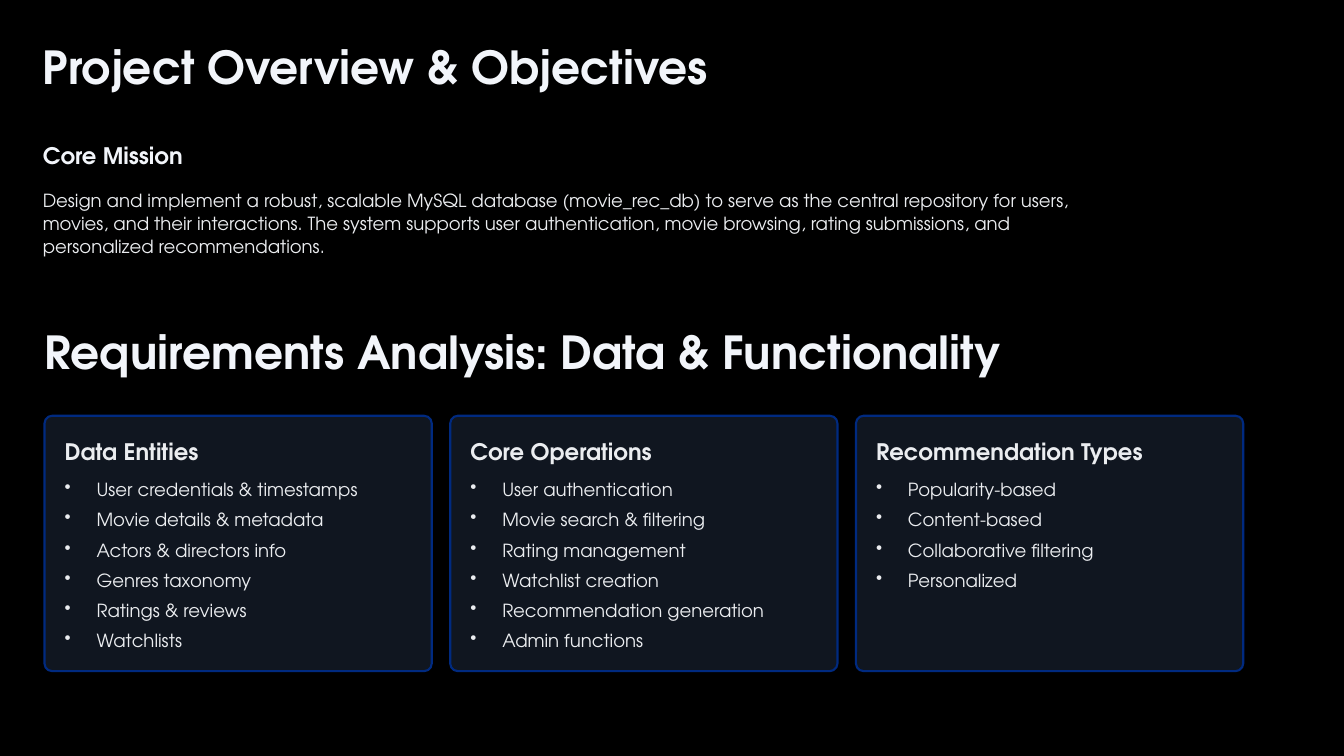
"""Build the project overview and requirements slide."""
from lxml import etree
from pptx import Presentation
from pptx.dml.color import RGBColor
from pptx.enum.shapes import MSO_SHAPE
from pptx.oxml.ns import qn
from pptx.util import Inches, Pt

ROUNDED = MSO_SHAPE.ROUNDED_RECTANGLE
FONT = "TeX Gyre Adventor"
WIDTH, HEIGHT = 16, 9
BACKGROUND, CARD_FILL, CARD_LINE = "000000", "101620", "002A80"

STYLES = {
    "title": {"size": 39, "bold": True, "color": "F2F5FA", "leading": 50.5},
    "subtitle": {"size": 19.5, "bold": True, "color": "F2F5FA", "leading": 25},
    "heading": {"size": 19.5, "bold": True, "color": "EBEDF0", "leading": 25},
    "body": {"size": 15.5, "bold": False, "color": "EBEDF0", "leading": 20},
}
MISSION = (
    "Design and implement a robust, scalable MySQL database (movie_rec_db) to serve "
    "as the central repository for users, movies, and their interactions. The system "
    "supports user authentication, movie browsing, rating submissions, and "
    "personalized recommendations."
)
INTRO = [
    ("title", "Project Overview & Objectives", (0.51, 0.41, 12.37, 0.71)),
    ("subtitle", "Core Mission", (0.51, 1.66, 12.37, 0.35)),
    ("body", MISSION, (0.51, 2.23, 12.37, 0.92)),
    ("title", "Requirements Analysis: Data & Functionality", (0.53, 3.81, 12.37, 0.71)),
]
CARDS = [
    ("Data Entities", [
        "User credentials & timestamps", "Movie details & metadata",
        "Actors & directors info", "Genres taxonomy", "Ratings & reviews", "Watchlists",
    ]),
    ("Core Operations", [
        "User authentication", "Movie search & filtering", "Rating management",
        "Watchlist creation", "Recommendation generation", "Admin functions",
    ]),
    ("Recommendation Types", [
        "Popularity-based", "Content-based", "Collaborative filtering", "Personalized",
    ]),
]
CARD_LEFT, CARD_TOP, CARD_WIDTH, CARD_HEIGHT = 0.53, 4.95, 4.61, 3.04
CARD_STEP, PADDING = 4.83, 0.24
HEADING_HEIGHT, LIST_OFFSET = 0.35, 0.73
ITEM_GAP, INDENT = 5.8, 0.38


def rgb(color):
    """Turn a hex string into a colour."""
    return RGBColor.from_string(color)


def add_bullet(para):
    """Give a paragraph a hanging bullet."""
    properties = para._p.get_or_add_pPr()
    properties.set("marL", str(Inches(INDENT)))
    properties.set("indent", str(-Inches(INDENT)))
    etree.SubElement(properties, qn("a:buChar")).set("char", "•")


def add_text(page, lines, place, style, bulleted=False):
    """Add a text box with one paragraph per line."""
    frame = page.shapes.add_textbox(*map(Inches, place)).text_frame
    settings = {"word_wrap": True, "margin_left": 0, "margin_top": 0,
                "margin_right": 0, "margin_bottom": 0}
    for name, value in settings.items():
        setattr(frame, name, value)
    look = STYLES[style]
    for index, line in enumerate(lines):
        para = frame.add_paragraph() if index else frame.paragraphs[0]
        para.line_spacing = Pt(look["leading"])
        if index:
            para.space_before = Pt(ITEM_GAP)
        if bulleted:
            add_bullet(para)
        span = para.add_run()
        span.text = line
        values = {"name": FONT, "size": Pt(look["size"]), "bold": look["bold"]}
        for name, value in values.items():
            setattr(span.font, name, value)
        span.font.color.rgb = rgb(look["color"])


def add_card(page, column, heading, items):
    """Add one requirements card in its column."""
    left = CARD_LEFT + column * CARD_STEP
    place = (left, CARD_TOP, CARD_WIDTH, CARD_HEIGHT)
    card = page.shapes.add_shape(ROUNDED, *map(Inches, place))
    card.adjustments[0] = 0.03
    card.shadow.inherit = False
    card.fill.solid()
    card.fill.fore_color.rgb = rgb(CARD_FILL)
    card.line.color.rgb = rgb(CARD_LINE)
    card.line.width = Pt(1.8)
    inner_left, inner_width = left + PADDING, CARD_WIDTH - 2 * PADDING
    heading_place = (inner_left, CARD_TOP + PADDING, inner_width, HEADING_HEIGHT)
    list_height = CARD_HEIGHT - LIST_OFFSET - PADDING
    list_place = (inner_left, CARD_TOP + LIST_OFFSET, inner_width, list_height)
    add_text(page, [heading], heading_place, "heading")
    add_text(page, items, list_place, "body", bulleted=True)


def main():
    """Build and save the deck."""
    deck = Presentation()
    deck.slide_width, deck.slide_height = Inches(WIDTH), Inches(HEIGHT)
    page = deck.slides.add_slide(deck.slide_layouts[6])
    page.background.fill.solid()
    page.background.fill.fore_color.rgb = rgb(BACKGROUND)
    for style, text, place in INTRO:
        add_text(page, [text], place, style)
    for column, (heading, items) in enumerate(CARDS):
        add_card(page, column, heading, items)
    deck.save("out.pptx")


if __name__ == "__main__":
    main()
